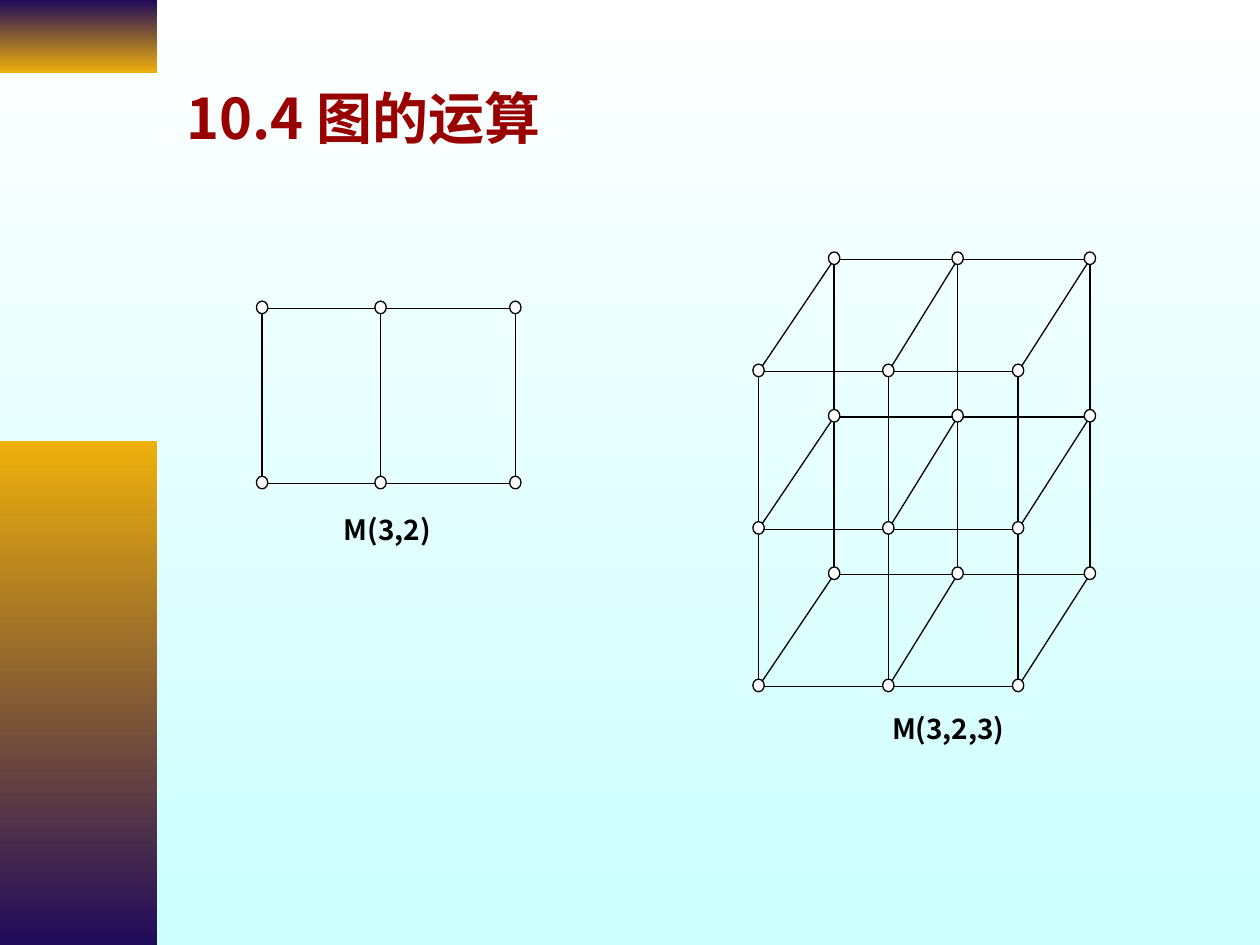
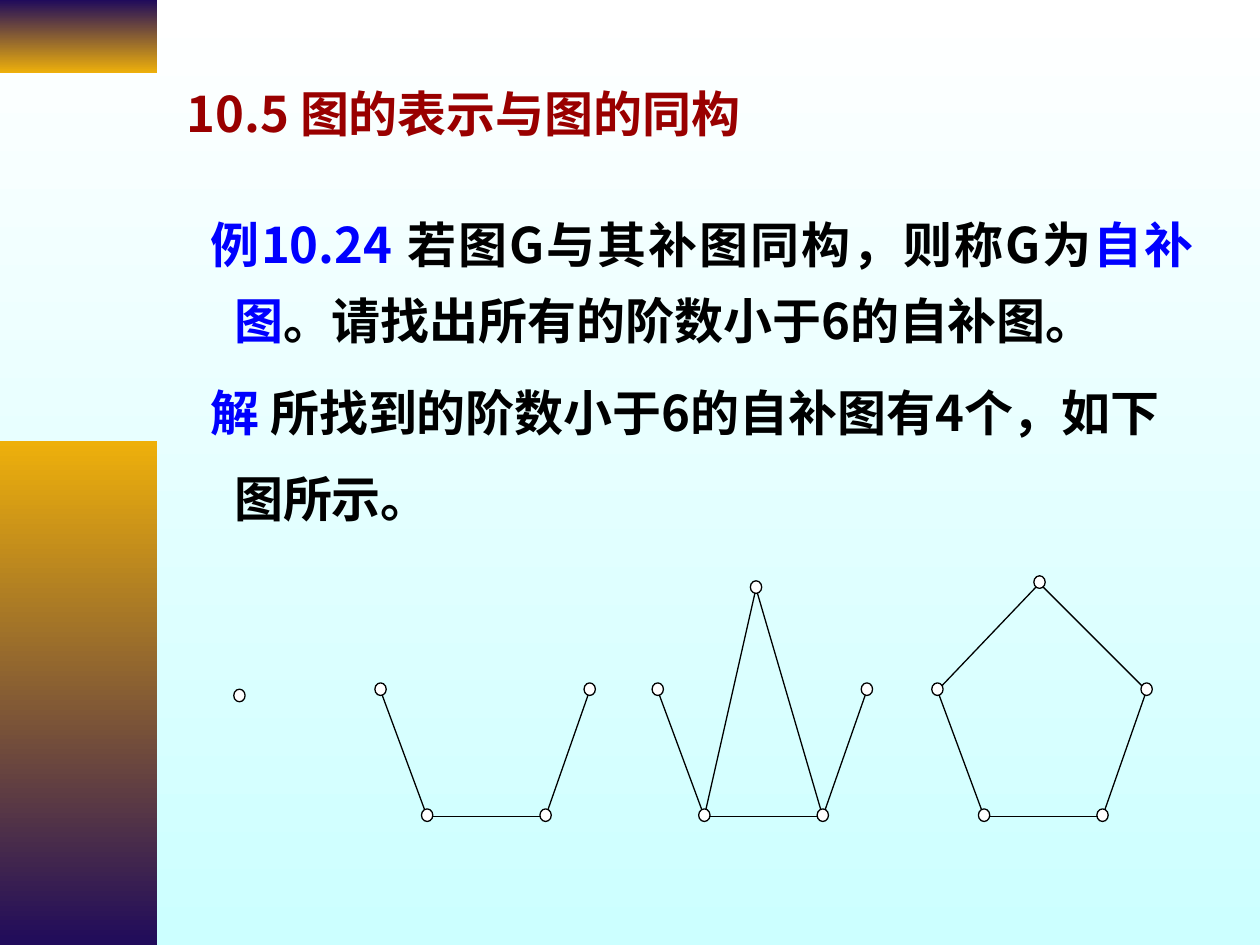
from itertools import combinations, product

from lxml import etree
from pptx import Presentation
from pptx.dml.color import RGBColor
from pptx.enum.shapes import MSO_CONNECTOR, MSO_SHAPE
from pptx.enum.text import MSO_ANCHOR, MSO_AUTO_SIZE, PP_ALIGN
from pptx.oxml.ns import qn
from pptx.util import Inches, Pt

LINE = MSO_CONNECTOR.STRAIGHT
RECTANGLE, OVAL = MSO_SHAPE.RECTANGLE, MSO_SHAPE.OVAL
TOP, NO_FIT = MSO_ANCHOR.TOP, MSO_AUTO_SIZE.NONE
LEFT, JUSTIFY = PP_ALIGN.LEFT, PP_ALIGN.JUSTIFY
TITLE_ONLY = 5

COLORS = {
    "sky": "FFFFFF",
    "aqua": "CCFFFF",
    "navy": "200B5B",
    "gold": "EEB00B",
    "heading": "990000",
    "term": "0000FF",
    "ink": "000000",
    "node": "FFFFFF",
}
FONT = "Noto Sans CJK SC"
EDGE_WIDTH = 0.75
NODE_WIDTH, NODE_HEIGHT = 0.09, 0.1
NODE_LIFT = 0.01


def color(name):
    return RGBColor.from_string(COLORS[name])


def set_all(target, values):
    for name, value in values.items():
        setattr(target, name, value)


class LectureDeck:
    def __init__(self):
        self.deck = Presentation()
        self.deck.slide_width, self.deck.slide_height = Inches(10), Inches(7.5)
        self.slide = None

    def gradient(self, fill, top_color, bottom_color):
        fill.gradient()
        fill.gradient_angle = 270
        for stop, name in zip(fill.gradient_stops, (top_color, bottom_color)):
            stop.color.rgb = color(name)

    def new_slide(self, heading, size):
        self.slide = self.deck.slides.add_slide(self.deck.slide_layouts[TITLE_ONLY])
        self.gradient(self.slide.background.fill, "sky", "aqua")
        self.band(0, 0.58, "navy", "gold")
        self.band(3.5, 4, "gold", "navy")
        title = self.slide.shapes.title
        set_all(title, {"left": Inches(1.38), "top": Inches(0.61),
                        "width": Inches(8.19), "height": Inches(0.8)})
        self.frame(title.text_frame, 0.1)
        self.paragraph(title.text_frame.paragraphs[0],
                       [(heading, "heading")], size, {"alignment": LEFT})

    def band(self, top, height, top_color, bottom_color):
        band = self.slide.shapes.add_shape(
            RECTANGLE, 0, Inches(top), Inches(1.25), Inches(height))
        band.shadow.inherit = False
        band.line.fill.background()
        self.gradient(band.fill, top_color, bottom_color)

    def frame(self, frame, side_inset):
        set_all(frame, {
            "word_wrap": True, "auto_size": NO_FIT, "vertical_anchor": TOP,
            "margin_left": Inches(side_inset), "margin_right": Inches(side_inset),
            "margin_top": Inches(0.05), "margin_bottom": Inches(0.05)})

    def paragraph(self, paragraph, runs, size, layout):
        set_all(paragraph, layout)
        for text, ink in runs:
            run = paragraph.add_run()
            run.text = text
            set_all(run.font, {"name": FONT, "size": Pt(size), "bold": True})
            run.font.color.rgb = color(ink)
            east_asian = etree.Element(qn("a:ea"), typeface=FONT)
            run.font._element.find(qn("a:latin")).addnext(east_asian)

    def text_box(self, left, top, width, height, side_inset):
        box = self.slide.shapes.add_textbox(
            Inches(left), Inches(top), Inches(width), Inches(height))
        self.frame(box.text_frame, side_inset)
        return box.text_frame

    def caption(self, left, top, text):
        frame = self.text_box(left, top, 1.27, 0.36, 0.09)
        self.paragraph(frame.paragraphs[0], [(text, "ink")], 16,
                       {"alignment": JUSTIFY})

    def body(self, paragraphs):
        frame = self.text_box(1.38, 1.52, 8.19, 2.9, 0.1)
        for number, (runs, layout) in enumerate(paragraphs):
            paragraph = frame.add_paragraph() if number else frame.paragraphs[0]
            properties = paragraph._p.get_or_add_pPr()
            properties.set("marL", str(Inches(0.38)))
            properties.set("indent", str(Inches(-0.19)))
            self.paragraph(paragraph, runs, 28, layout)

    def edge(self, start, end):
        edge = self.slide.shapes.add_connector(
            LINE, *(Inches(value) for value in (*start, *end)))
        edge.line.color.rgb = color("ink")
        edge.line.width = Pt(EDGE_WIDTH)
        etree.SubElement(edge._element.spPr, qn("a:effectLst"))

    def node(self, x, y):
        node = self.slide.shapes.add_shape(
            OVAL, Inches(x - NODE_WIDTH / 2),
            Inches(y - NODE_LIFT - NODE_HEIGHT / 2),
            Inches(NODE_WIDTH), Inches(NODE_HEIGHT))
        node.shadow.inherit = False
        node.fill.solid()
        node.fill.fore_color.rgb = color("node")
        node.line.color.rgb = color("ink")
        node.line.width = Pt(EDGE_WIDTH)

    def graph(self, vertices, edges):
        for start, end in edges:
            self.edge(vertices[start], vertices[end])
        for x, y in vertices.values():
            self.node(x, y)

    def mesh(self, vertices):
        neighbours = [
            (a, b) for a, b in combinations(vertices, 2)
            if sum(abs(i - j) for i, j in zip(a, b)) == 1]
        self.graph(vertices, neighbours)


def graph_operations(deck):
    deck.new_slide("10.4 图的运算", 32)

    columns, rows = (2.08, 3.02, 4.09), (2.45, 3.84)
    deck.mesh({(i, j): (columns[i], rows[j])
               for i, j in product(range(3), range(2))})
    deck.caption(2.64, 4.02, "M(3,2)")

    depths = (((6.02, 7.05, 8.08), 2.95), ((6.62, 7.6, 8.65), 2.06))
    level_gap = 1.25
    deck.mesh({(i, j, k): (depths[j][0][i], depths[j][1] + k * level_gap)
               for i, j, k in product(range(3), range(2), range(3))})
    deck.caption(6.99, 5.6, "M(3,2,3)")


def path_vertices(left):
    shoulder, floor = 5.48, 6.48
    return {"left": (left, shoulder), "left foot": (left + 0.37, floor),
            "right foot": (left + 1.31, floor), "right": (left + 1.66, shoulder)}


def self_complementary_graphs(deck):
    deck.new_slide("10.5 图的表示与图的同构", 28)
    deck.body([
        ([("例10.24 ", "term"), ("若图G与其补图同构，则称G为", "ink"),
          ("自补图", "term"), ("。请找出所有的阶数小于6的自补图。", "ink")],
         {"alignment": JUSTIFY, "line_spacing": Pt(43.4)}),
        ([("解 ", "term"),
          ("所找到的阶数小于6的自补图有4个，如下图所示。", "ink")],
         {"alignment": LEFT, "line_spacing": Pt(49), "space_before": Pt(3.6)}),
    ])

    path = [("left", "left foot"), ("left foot", "right foot"),
            ("right foot", "right")]
    bull = path + [("apex", "left foot"), ("apex", "right foot")]
    cycle = path + [("apex", "left"), ("apex", "right")]

    deck.node(1.9, 5.53)
    deck.graph(path_vertices(3.02), path)
    deck.graph({**path_vertices(5.22), "apex": (6, 4.67)}, bull)
    deck.graph({**path_vertices(7.44), "apex": (8.25, 4.63)}, cycle)


def main():
    lecture = LectureDeck()
    graph_operations(lecture)
    self_complementary_graphs(lecture)
    lecture.deck.save("out.pptx")


if __name__ == "__main__":
    main()
